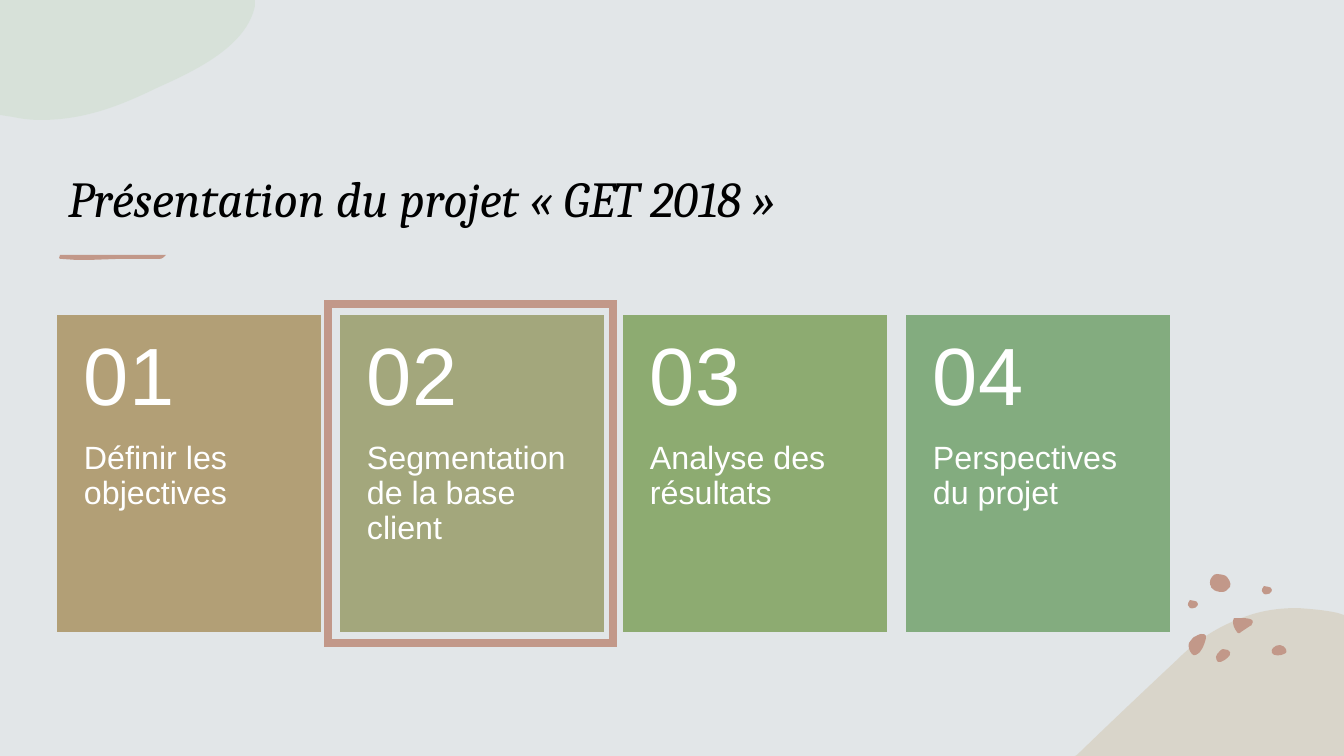
from dataclasses import dataclass

from lxml import etree
from pptx import Presentation
from pptx.dml.color import RGBColor
from pptx.enum.shapes import MSO_SHAPE
from pptx.enum.text import MSO_ANCHOR, MSO_AUTO_SIZE, PP_ALIGN
from pptx.oxml.ns import qn
from pptx.util import Emu, Pt

RECTANGLE = MSO_SHAPE.RECTANGLE
TOP, MIDDLE, BOTTOM = MSO_ANCHOR.TOP, MSO_ANCHOR.MIDDLE, MSO_ANCHOR.BOTTOM
NO_AUTOFIT = MSO_AUTO_SIZE.NONE
LEFT = PP_ALIGN.LEFT

SLIDE_WIDTH, SLIDE_HEIGHT = 1344, 756
EMU_PER_PX = 12192000 / SLIDE_WIDTH
TITLE_LAYOUT = 5


@dataclass(frozen=True)
class Theme:
    background: str = "E2E6E8"
    accent: str = "C29889"
    hill: str = "D1C5AD"
    leaf: str = "CDDECC"
    title: str = "000000"
    card_text: str = "FFFFFF"
    cards: tuple = ("B29F76", "A3A77C", "8DAB71", "83AC7F")
    title_font: str = "Cambria"
    card_font: str = "Arial"
    title_size: int = 36
    number_size: int = 58
    label_size: int = 23
    card_line: int = 1
    highlight_line: int = 6


THEME = Theme()
TITLE = "Présentation du projet « GET 2018 »"
STEPS = (
    "Définir les objectives",
    "Segmentation de la base client",
    "Analyse des résultats",
    "Perspectives du projet",
)
HIGHLIGHTED_STEP = 1

# Outlines: a start point, then lines (x, y) or cubic curves (x1, y1, x2, y2, x, y)
LEAF = ((0, 0), (255, 0), (255, 6), (247, 44, 202, 68, 159, 87),
        (124, 104, 87, 120, 41, 120), (31, 120, 22, 119, 13, 117), (0, 115))
HILL = ((223, 0), (236, 1, 250, 2, 263, 5), (269, 7), (269, 148), (0, 148), (2, 147),
        (36, 114, 71, 81, 103, 51), (126, 28, 149, 16, 172, 8), (189, 2, 206, 0, 223, 0))
UNDERLINE = ((28, 5), (57, 4), (91, 4), (98, 4), (105, 4, 103, 1, 106, 0), (99, 0),
             (53, 0), (19, 0), (0, 0), (-1, 1, -2, 5, 2, 4), (17, 5))
ROUND_PEBBLE = ((0, 5), (0, 5, 0, 1, 2, 0), (4, 0, 5, 0, 7, 1), (8, 1, 10, 2, 10, 4),
                (10, 5, 9, 7, 8, 7), (8, 7, 8, 8, 6, 8), (5, 8, 3, 9, 2, 8),
                (1, 6, 0, 6, 0, 5))
BIG_PEBBLE = ((1, 12), (0, 12, -1, 6, 2, 3), (4, 1, 4, 0, 7, 0), (10, 0, 14, 1, 16, 2),
              (18, 4, 22, 9, 20, 13), (17, 16, 16, 18, 12, 18), (9, 18, 4, 17, 3, 15),
              (1, 14, 1, 13, 1, 12))
TRIANGLE_PEBBLE = ((6, 0), (12, 0, 23, 0, 19, 6), (19, 7, 18, 8, 17, 8),
                   (14, 10, 11, 12, 8, 14), (7, 15, 6, 16, 5, 15), (4, 14),
                   (1, 10, 0, 7, 0, 3), (0, 2, 0, 1, 1, 0))
LONG_PEBBLE = ((12, 0), (14, 0, 17, 0, 17, 2), (17, 4), (16, 9, 14, 14, 11, 18),
               (9, 20, 5, 23, 3, 20), (0, 17, -1, 12, 0, 9), (2, 6, 3, 5, 5, 3),
               (6, 3, 10, 0, 12, 0))
SLANTED_PEBBLE = ((7, 0), (9, 0, 10, 0, 12, 1), (14, 2, 15, 4, 14, 6),
                  (12, 9, 6, 14, 2, 13), (1, 12, 0, 10, 0, 8), (0, 6, 2, 4, 4, 2),
                  (5, 1, 6, 0, 7, 0))
FLAT_PEBBLE = ((8, 0), (10, 0, 13, 2, 14, 4), (15, 6, 15, 8, 12, 9),
               (9, 11, 1, 11, 0, 8), (-1, 6, 0, 4, 1, 3), (3, 1, 5, 0, 8, 0))
PEBBLES = ((28, 75, SLANTED_PEBBLE), (1, 60, LONG_PEBBLE), (84, 71, FLAT_PEBBLE),
           (22, 0, BIG_PEBBLE), (74, 12, ROUND_PEBBLE), (0, 26, ROUND_PEBBLE),
           (45, 44, TRIANGLE_PEBBLE))


def px(length):
    return Emu(round(length * EMU_PER_PX))


def color(value):
    return RGBColor.from_string(value)


def bend_curves(shape, outline):
    """Join the three lines laid for each cubic curve into one curve element."""
    lines = iter(shape._element.findall(f".//{qn('a:lnTo')}"))
    for segment in outline[1:]:
        parts = [next(lines) for _ in range(len(segment) // 2)]
        if len(parts) == 1:
            continue
        curve = etree.Element(qn("a:cubicBezTo"))
        parts[0].addprevious(curve)
        for line in parts:
            curve.append(line[0])
            line.getparent().remove(line)


def add_outline(slide, left, top, outline, fill, opacity=100):
    points = [(px(left + x), px(top + y)) for segment in outline
              for x, y in zip(segment[::2], segment[1::2])]
    builder = slide.shapes.build_freeform(*points[0], scale=1.0)
    builder.add_line_segments(points[1:], close=True)
    shape = builder.convert_to_shape()
    bend_curves(shape, outline)
    shape.shadow.inherit = False
    shape.line.fill.background()
    shape.fill.solid()
    shape.fill.fore_color.rgb = color(fill)
    if opacity < 100:
        fill_color = shape.fill._xPr.find(qn("a:solidFill"))[0]
        etree.SubElement(fill_color, qn("a:alpha"), val=str(opacity * 1000))


def add_rectangle(slide, left, top, width, height, line, line_width, fill=None):
    shape = slide.shapes.add_shape(RECTANGLE, px(left), px(top), px(width), px(height))
    shape.shadow.inherit = False
    shape.line.color.rgb = color(line)
    shape.line.width = Pt(line_width)
    line_element = shape._element.spPr.find(qn("a:ln"))
    etree.SubElement(line_element, qn("a:miter"), lim="800000")
    if fill:
        shape.fill.solid()
        shape.fill.fore_color.rgb = color(fill)
    else:
        shape.fill.background()


def add_card_text(slide, left, top, width, height, text, size, anchor, insets):
    box = slide.shapes.add_textbox(px(left), px(top), px(width), px(height))
    frame = box.text_frame
    frame.word_wrap = True
    frame.vertical_anchor = anchor
    frame.margin_left = frame.margin_right = px(26)
    frame.margin_top, frame.margin_bottom = map(px, insets)
    paragraph = frame.paragraphs[0]
    paragraph.text = text
    paragraph.line_spacing = 0.9
    paragraph.font.name = THEME.card_font
    paragraph.font.size = Pt(size)
    paragraph.font.color.rgb = color(THEME.card_text)


def add_decorations(slide, width, height):
    add_outline(slide, width - 269, height - 148, HILL, THEME.hill, 50)
    for left, top, outline in PEBBLES:
        add_outline(slide, width - 156 + left, height - 182 + top, outline, THEME.accent)
    add_outline(slide, 0, 0, LEAF, THEME.leaf, 50)


def add_heading(slide, left, top, width, height):
    title = slide.shapes.title
    title.left, title.top, title.width, title.height = map(px, (left, top, width, height))
    frame = title.text_frame
    frame.word_wrap = True
    frame.auto_size = NO_AUTOFIT
    frame.vertical_anchor = BOTTOM
    paragraph = frame.paragraphs[0]
    paragraph.text = TITLE
    paragraph.alignment = LEFT
    paragraph.font.name = THEME.title_font
    paragraph.font.size = Pt(THEME.title_size)
    paragraph.font.italic = True
    paragraph.font.color.rgb = color(THEME.title)
    add_outline(slide, left + 2, top + height + 22, UNDERLINE, THEME.accent)


def add_step_card(slide, left, top, width, height, number, label, fill):
    number_height = 126
    add_rectangle(slide, left, top, width, height, fill, THEME.card_line, fill)
    add_card_text(slide, left, top + number_height, width, height - number_height,
                  label, THEME.label_size, TOP, (0, 36))
    add_card_text(slide, left, top, width, number_height,
                  f"{number:02d}", THEME.number_size, MIDDLE, (18, 18))


def add_steps(slide, left, top, width, height):
    gap = 21
    card_width = (width - gap * (len(STEPS) - 1)) // len(STEPS)
    pitch = card_width + gap
    for index, (label, fill) in enumerate(zip(STEPS, THEME.cards)):
        add_step_card(slide, left + index * pitch, top, card_width, height,
                      index + 1, label, fill)
    add_rectangle(slide, left + HIGHLIGHTED_STEP * pitch - 13, top - 12,
                  card_width + 23, height + 24, THEME.accent, THEME.highlight_line)


def main():
    presentation = Presentation()
    presentation.slide_width, presentation.slide_height = px(SLIDE_WIDTH), px(SLIDE_HEIGHT)
    slide = presentation.slides.add_slide(presentation.slide_layouts[TITLE_LAYOUT])
    slide.background.fill.solid()
    slide.background.fill.fore_color.rgb = color(THEME.background)
    add_decorations(slide, SLIDE_WIDTH, SLIDE_HEIGHT)
    add_heading(slide, 58, 87, 1111, 146)
    add_steps(slide, 58, 316, 1111, 315)
    presentation.save("out.pptx")


if __name__ == "__main__":
    main()
